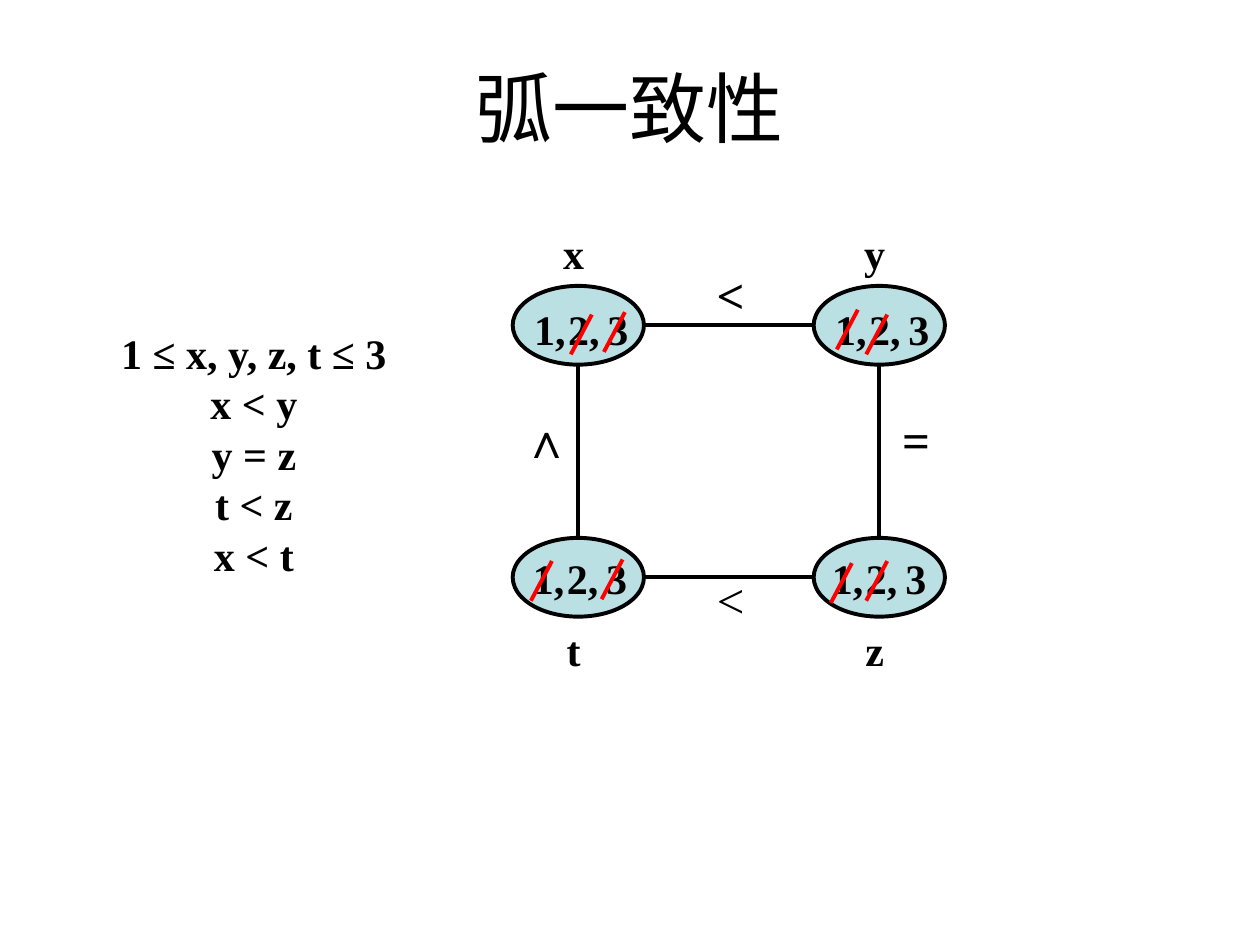
from dataclasses import dataclass

from lxml import etree
from pptx import Presentation
from pptx.dml.color import RGBColor
from pptx.enum.shapes import MSO_CONNECTOR, MSO_SHAPE
from pptx.enum.text import MSO_ANCHOR, MSO_AUTO_SIZE, PP_ALIGN
from pptx.oxml.ns import qn
from pptx.slide import Slide
from pptx.util import Pt

ELLIPSE = MSO_SHAPE.OVAL
STRAIGHT = MSO_CONNECTOR.STRAIGHT
CENTER = PP_ALIGN.CENTER
MIDDLE = MSO_ANCHOR.MIDDLE
TOP = MSO_ANCHOR.TOP
FIT_SHAPE = MSO_AUTO_SIZE.SHAPE_TO_FIT_TEXT
NO_FIT = MSO_AUTO_SIZE.NONE

COLORS = {"ink": "000000", "node": "BBE0E3", "strike": "FF0000"}
FONT = "Times New Roman"
LINE_WIDTH = 2.25

NODE_WIDTH, NODE_HEIGHT = 75, 45
LEFT_COLUMN, RIGHT_COLUMN = 293, 465
TOP_ROW, BOTTOM_ROW = 163.4, 307.4
NAME_LEFT, NAME_WIDTH, NAME_HEIGHT = 21.5, 26.5, 36.5
VALUES = (("1,", 0, 32.4), ("2,", 19.4, 32.4), ("3", 41.8, 26.6))
VALUE_HEIGHT = 36
STRIKE_WIDTH, STRIKE_HEIGHT = 12, 22.7


@dataclass(frozen=True)
class Variable:
    name: str
    left: float
    top: float
    name_offset: float
    values_left: float
    values_top: float
    strikes: tuple[tuple[float, float], ...]


@dataclass(frozen=True)
class Constraint:
    symbol: str
    left: float
    top: float
    bold: bool
    start: tuple[float, float]
    end: tuple[float, float]


VARIABLES = (
    Variable("x", LEFT_COLUMN, TOP_ROW, -36.7, 5, 6.5, ((45.2, 16.4), (64.1, 15))),
    Variable("y", RIGHT_COLUMN, TOP_ROW, -36.7, 5, 6.5, ((25.2, 13.6), (42, 16.4))),
    Variable("t", LEFT_COLUMN, BOTTOM_ROW, 46.1, 4.3, 5, ((22.4, 13.2), (62.8, 12.3))),
    Variable("z", RIGHT_COLUMN, BOTTOM_ROW, 46.1, 3.2, 5, ((21.8, 14.4), (42, 13.2))),
)

MIDDLE_X, MIDDLE_Y = NODE_WIDTH / 2, NODE_HEIGHT / 2
INNER_LEFT, INNER_TOP = LEFT_COLUMN + NODE_WIDTH, TOP_ROW + NODE_HEIGHT
LEFT_X, RIGHT_X = LEFT_COLUMN + MIDDLE_X, RIGHT_COLUMN + MIDDLE_X
TOP_Y, BOTTOM_Y = TOP_ROW + MIDDLE_Y, BOTTOM_ROW + MIDDLE_Y

CONSTRAINTS = (
    Constraint("<", 402.5, 147.6, True, (INNER_LEFT, TOP_Y), (RIGHT_COLUMN, TOP_Y)),
    Constraint("=", 508.5, 230.4, True, (RIGHT_X, INNER_TOP), (RIGHT_X, BOTTOM_ROW)),
    Constraint("<", 402.5, 321.8, False, (INNER_LEFT, BOTTOM_Y), (RIGHT_COLUMN, BOTTOM_Y)),
    Constraint("∧", 291.4, 230.4, False, (LEFT_X, INNER_TOP), (LEFT_X, BOTTOM_ROW)),
)


def add_text(slide: Slide, text: str, left: float, top: float, width: float,
             height: float, *, size: float = 24, bold: bool = True,
             wrap: bool = False, anchor: MSO_ANCHOR = TOP) -> None:
    box = slide.shapes.add_textbox(Pt(left), Pt(top), Pt(width), Pt(height))
    frame = box.text_frame
    frame.word_wrap = wrap
    frame.auto_size = NO_FIT if wrap else FIT_SHAPE
    frame.vertical_anchor = anchor
    frame.text = text
    for paragraph in frame.paragraphs:
        paragraph.alignment = CENTER
        font = paragraph.runs[0].font
        font.name = FONT
        font.size = Pt(size)
        font.bold = bold
        font.color.rgb = RGBColor.from_string(COLORS["ink"])


def add_line(slide: Slide, start: tuple[float, float], end: tuple[float, float],
             color: str) -> None:
    connector = slide.shapes.add_connector(
        STRAIGHT, Pt(start[0]), Pt(start[1]), Pt(end[0]), Pt(end[1]))
    connector.line.width = Pt(LINE_WIDTH)
    connector.line.color.rgb = RGBColor.from_string(COLORS[color])
    etree.SubElement(connector._element.spPr, qn("a:effectLst"))


def add_variable(slide: Slide, variable: Variable) -> None:
    shape = slide.shapes.add_shape(
        ELLIPSE, Pt(variable.left), Pt(variable.top), Pt(NODE_WIDTH), Pt(NODE_HEIGHT))
    shape.shadow.inherit = False
    shape.fill.solid()
    shape.fill.fore_color.rgb = RGBColor.from_string(COLORS["node"])
    shape.line.color.rgb = RGBColor.from_string(COLORS["ink"])
    shape.line.width = Pt(LINE_WIDTH)
    add_text(slide, variable.name, variable.left + NAME_LEFT,
             variable.top + variable.name_offset, NAME_WIDTH, NAME_HEIGHT)
    for text, offset, width in VALUES:
        add_text(slide, text, variable.left + variable.values_left + offset,
                 variable.top + variable.values_top, width, VALUE_HEIGHT)
    for offset_x, offset_y in variable.strikes:
        x, y = variable.left + offset_x, variable.top + offset_y
        add_line(slide, (x, y), (x - STRIKE_WIDTH, y + STRIKE_HEIGHT), "strike")


def add_constraint(slide: Slide, constraint: Constraint) -> None:
    add_line(slide, constraint.start, constraint.end, "ink")
    add_text(slide, constraint.symbol, constraint.left, constraint.top, 30, 41,
             size=28, bold=constraint.bold)


def main() -> None:
    presentation = Presentation()
    presentation.slide_width = Pt(720)
    presentation.slide_height = Pt(540)
    slide = presentation.slides.add_slide(presentation.slide_layouts[6])
    add_text(slide, "弧一致性", 54, 16, 612, 90, size=44, bold=False,
             wrap=True, anchor=MIDDLE)
    add_text(slide, "1 ≤ x, y, z, t ≤ 3\nx < y\ny = z\nt < z\nx < t",
             61.2, 183.6, 167.8, 152.6)
    for constraint in CONSTRAINTS:
        add_constraint(slide, constraint)
    for variable in VARIABLES:
        add_variable(slide, variable)
    presentation.save("out.pptx")


if __name__ == "__main__":
    main()
